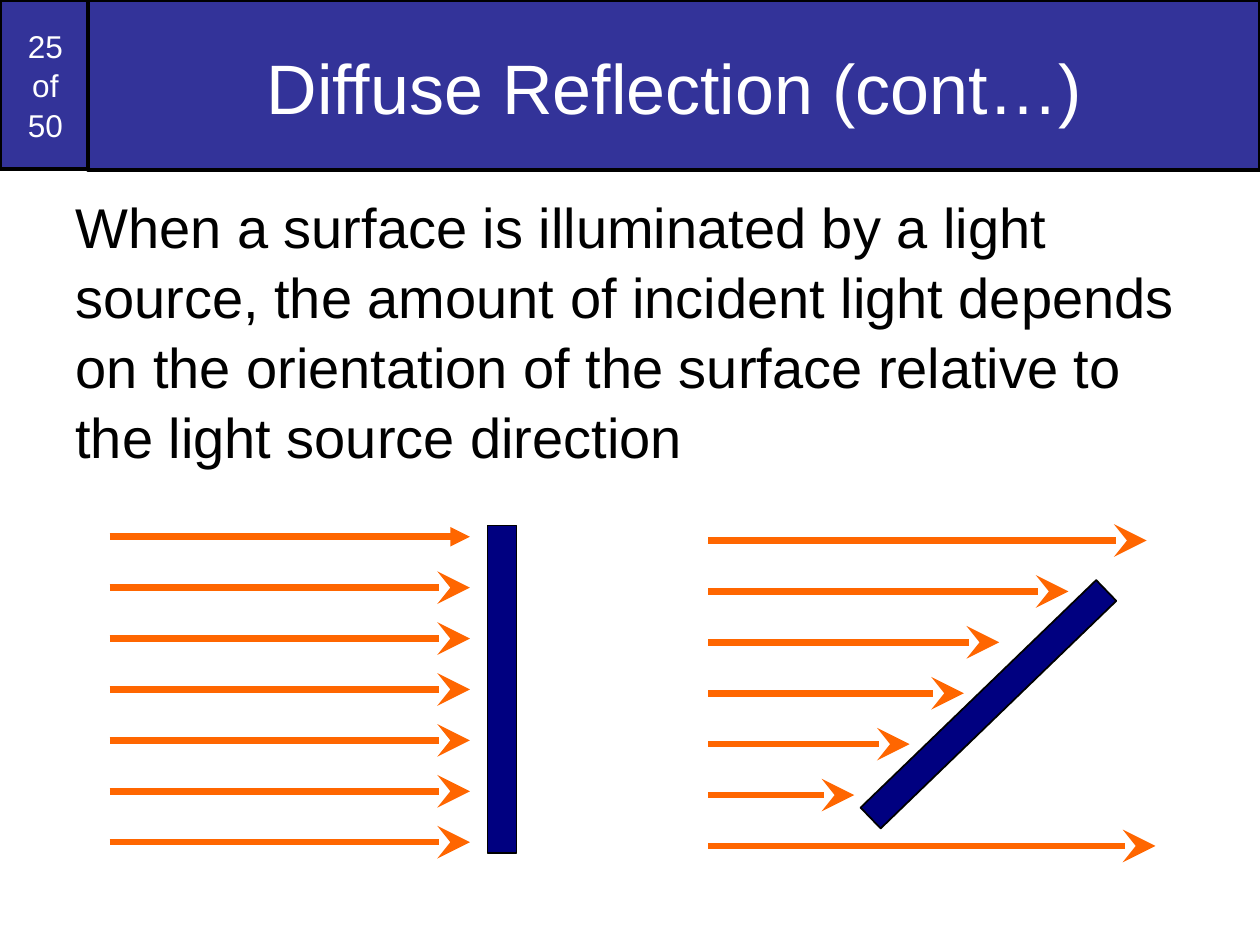
from pptx import Presentation
from pptx.dml.color import RGBColor as RGB
from pptx.enum.shapes import MSO_CONNECTOR as CONN, MSO_SHAPE as SHAPE
from pptx.enum.text import MSO_ANCHOR as ANCHOR, PP_ALIGN as ALIGN
from pptx.oxml.ns import qn
from pptx.util import Inches, Pt
from lxml.etree import SubElement

PAGE = "25\vof\v50"
TITLE = "Diffuse Reflection (cont…)"
BODY = ("When a surface is illuminated by a light source, the amount of incident "
        "light depends on the orientation of the surface relative to the light "
        "source direction")
RAY_GAP = 0.404
HEADS = {"triangle": "med", "stealth": "lg"}
PANELS = [
    dict(surface=(3.87, 4.17), angle=0, start=(0.87, 4.26),
         ends=[3.73] * 7, heads=["triangle"] + ["stealth"] * 6),
    dict(surface=(7.73, 4.29), angle=46, start=(5.62, 4.29),
         ends=[9.1, 8.48, 7.93, 7.65, 7.22, 6.78, 9.17], heads=["stealth"] * 7),
]
SURFACE_SIZE = (0.23, 2.6)
THEME = dict(font="Arial", banner="333399", surface="000080", ray="FF6600",
             dark="000000", light="FFFFFF", page=18, title=40, body=32,
             border=2, edge=1, ray_width=3.75)


def color(name):
    return RGB.from_string(THEME[name])


def add_text(sp, text, size, ink, align=ALIGN.LEFT, anchor=ANCHOR.TOP,
             before=0, spacing=1.04):
    tf = sp.text_frame
    tf.word_wrap = True
    tf.vertical_anchor = anchor
    p = tf.paragraphs[0]
    p.text = text
    p.alignment = align
    p.space_before = Pt(before)
    p.line_spacing = spacing
    for r in p.runs:
        r.font.name = THEME["font"]
        r.font.size = Pt(THEME[size])
        r.font.color.rgb = color(ink)


def add_rect(s, box, fill, width, angle=0):
    sp = s.shapes.add_shape(SHAPE.RECTANGLE, *map(Inches, box))
    sp.shadow.inherit = False
    sp.rotation = angle
    sp.fill.solid()
    sp.fill.fore_color.rgb = color(fill)
    sp.line.color.rgb = color("dark")
    sp.line.width = Pt(THEME[width])
    return sp


def add_ray(s, x1, x2, y, head):
    ray = s.shapes.add_connector(CONN.STRAIGHT, *map(Inches, (x1, y, x2, y)))
    ray.line.color.rgb = color("ray")
    ray.line.width = Pt(THEME["ray_width"])
    SubElement(ray.line._get_or_add_ln(), qn("a:tailEnd"),
               type=head, w=HEADS[head], len=HEADS[head])
    SubElement(ray._element.spPr, qn("a:effectLst"))


def main():
    prs = Presentation()
    prs.slide_width, prs.slide_height = Inches(10), Inches(7.5)
    s = prs.slides.add_slide(prs.slide_layouts[6])

    centred = dict(ink="light", align=ALIGN.CENTER, anchor=ANCHOR.MIDDLE)
    add_text(add_rect(s, (0, 0, 0.72, 1.34), "banner", "border"),
             PAGE, "page", before=11.2, **centred)
    add_text(add_rect(s, (0.7, 0, 9.3, 1.35), "banner", "border"),
             TITLE, "title", **centred)
    body = s.shapes.add_textbox(*map(Inches, (0.5, 1.46, 9, 6.04)))
    add_text(body, BODY, "body", "dark", before=8)

    for panel in PANELS:
        add_rect(s, panel["surface"] + SURFACE_SIZE, "surface", "edge", panel["angle"])
        x, y = panel["start"]
        for i, (end, head) in enumerate(zip(panel["ends"], panel["heads"])):
            add_ray(s, x, end, y + i * RAY_GAP, head)

    prs.save("out.pptx")


if __name__ == "__main__":
    main()
